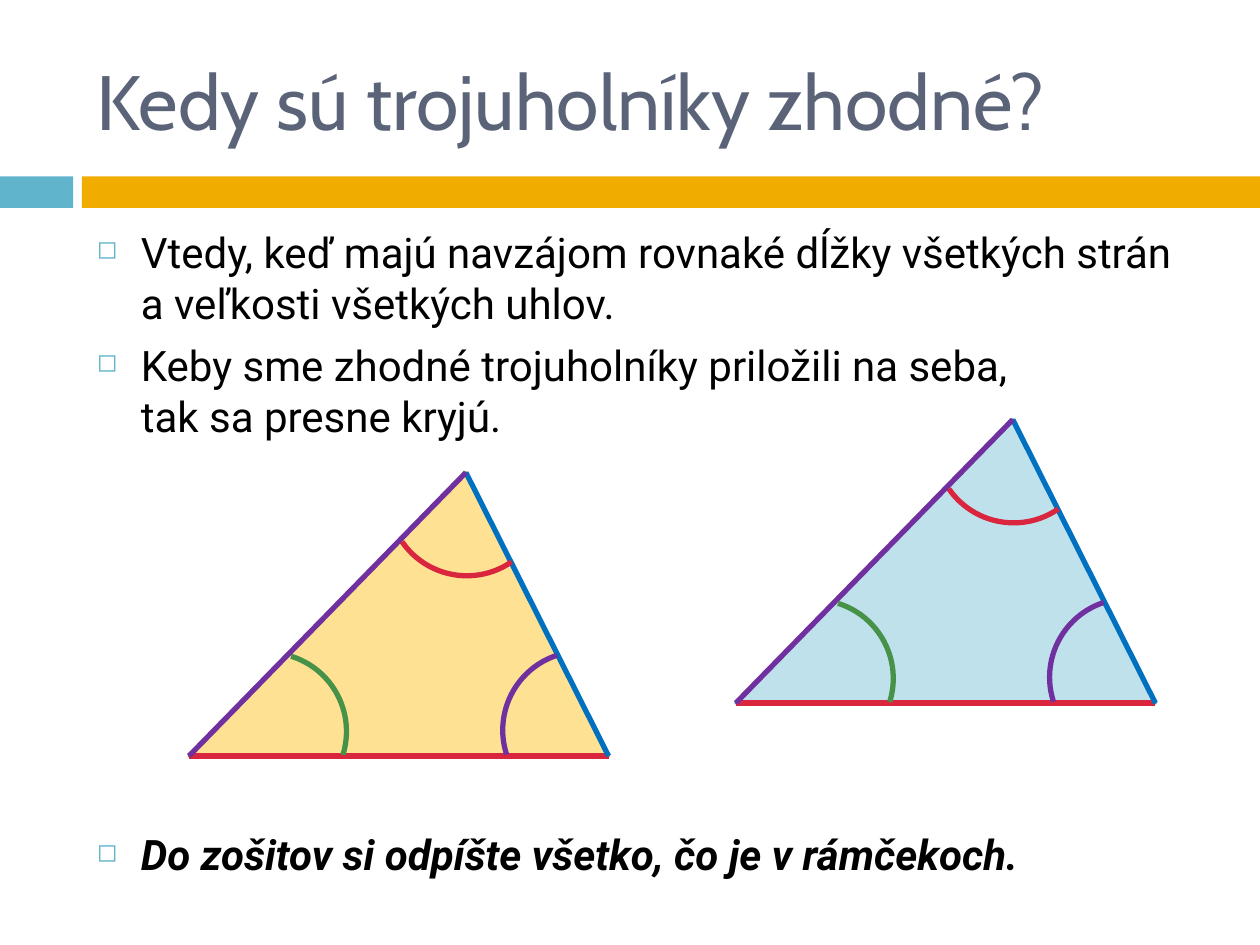
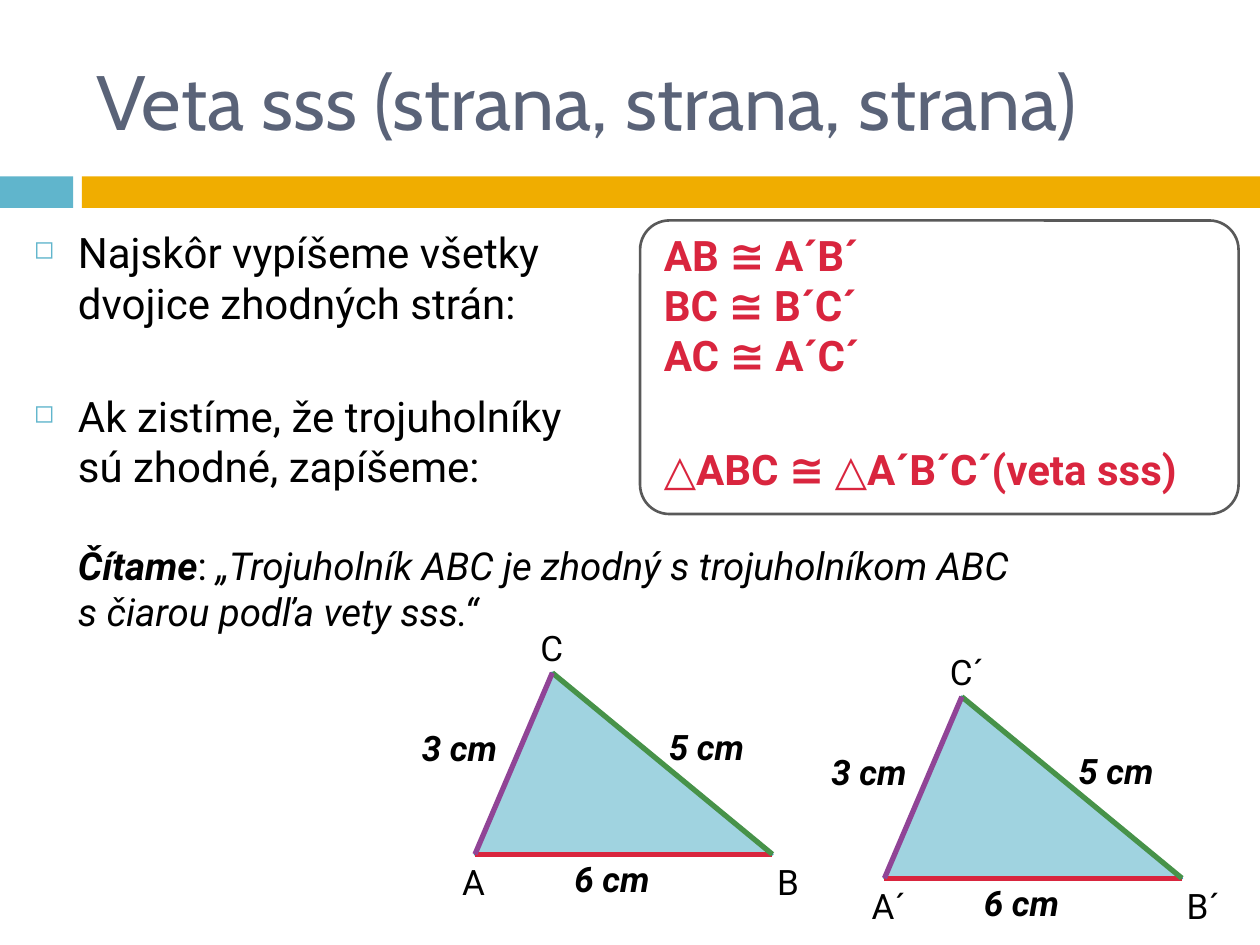
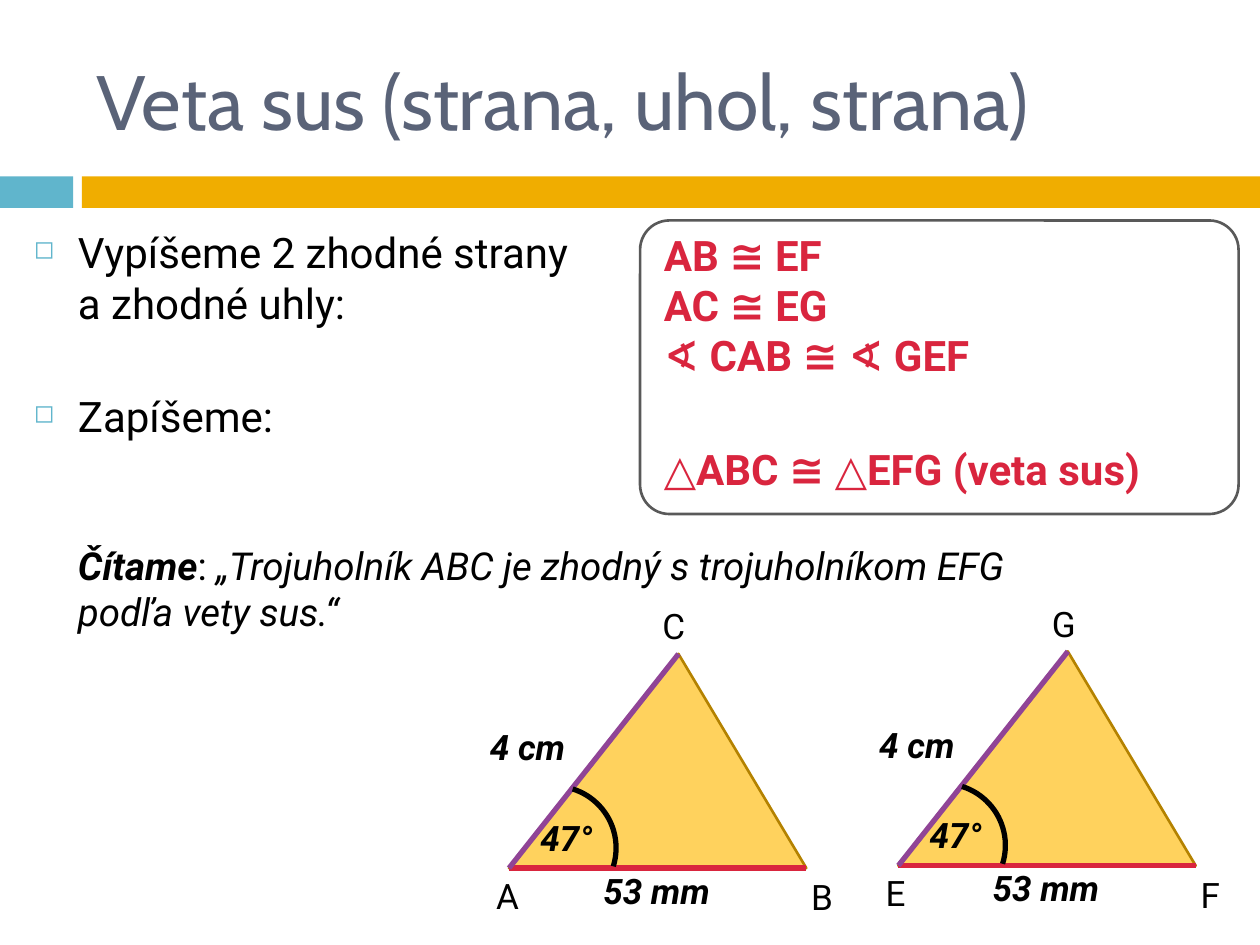
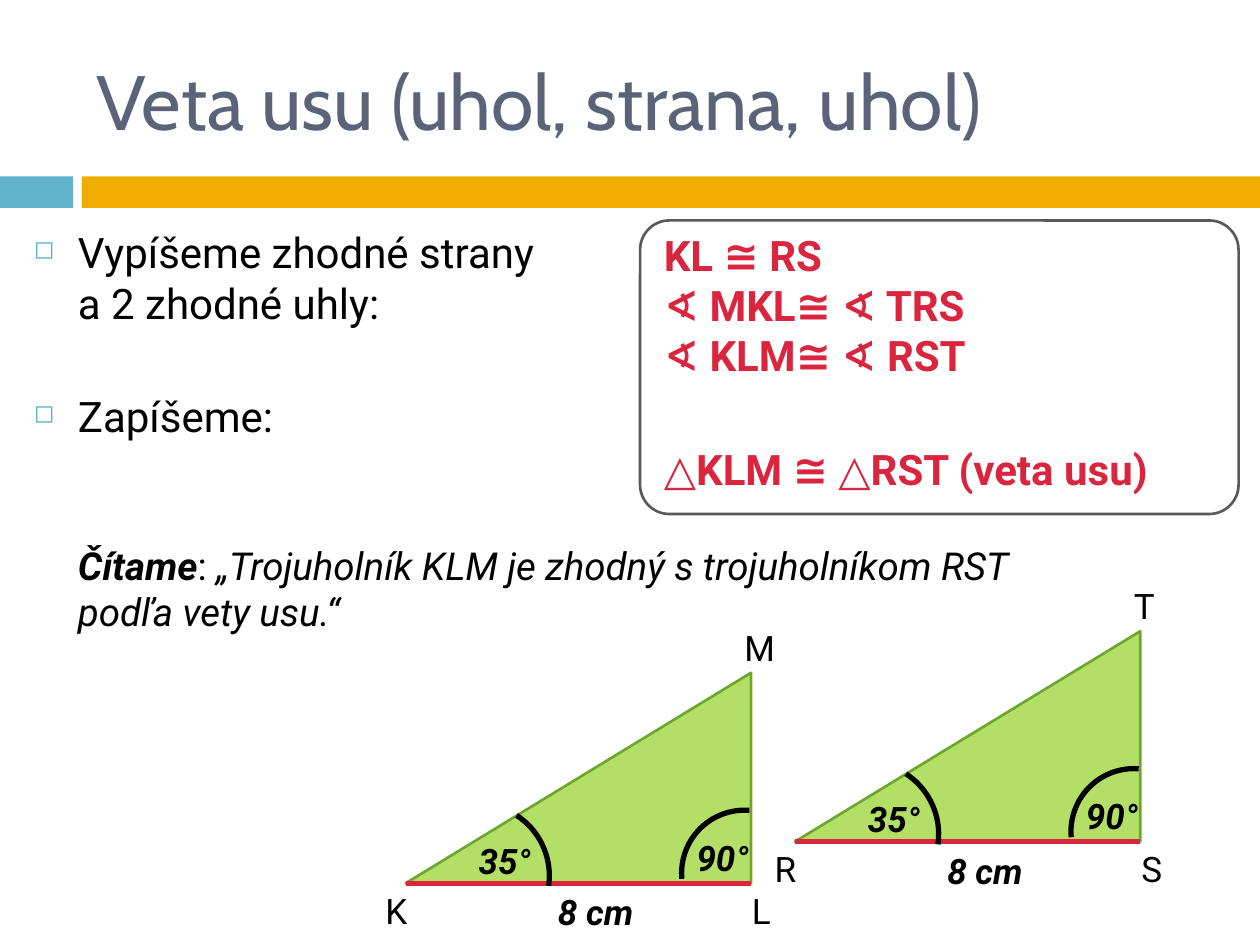
from dataclasses import dataclass

from lxml import etree
from pptx import Presentation, util as u
from pptx.dml.color import RGBColor
from pptx.enum import shapes, text
from pptx.oxml.ns import qn

I = u.Inches


@dataclass(frozen=True)
class Theme:
    """Colours, fonts and type sizes of the lesson."""
    teal: str = "60B5CC"
    amber: str = "F0AD00"
    heading: str = "5A6378"
    ink: str = "000000"
    red: str = "D9253E"
    green: str = "479249"
    blue: str = "0070C0"
    violet: str = "7030A0"
    purple: str = "904496"
    frame: str = "595959"
    yellow_pale: str = "FFE193"
    yellow: str = "FFD25D"
    yellow_edge: str = "B48200"
    blue_pale: str = "BFE1EB"
    blue_mid: str = "A0D3E0"
    blue_edge: str = "3792AA"
    lime: str = "B4DF67"
    lime_edge: str = "6CA62C"
    title_font: str = "Cabin"
    body_font: str = "Roboto"
    title_size: int = 44
    body_size: int = 24
    reading_size: int = 22
    label_size: int = 20
    bullet_gap: int = 7
    block_gap: int = 36
    thin: float = 1.5
    thick: float = 3


class Deck:
    """Holds the theme, the current slide and the origin of the current figure."""

    def __init__(self, theme):
        self.theme = theme
        self.prs = Presentation()
        self.prs.slide_width, self.prs.slide_height = I(10), I(7.5)

    def slide(self, title):
        t = self.theme
        self.s = self.prs.slides.add_slide(self.prs.slide_layouts[6])
        self.shapes, self.origin = self.s.shapes, (0, 0)
        self.shape("RECTANGLE", 0, 1.4, 0.58, 0.25, t.teal)
        self.shape("RECTANGLE", 0.65, 1.4, 9.35, 0.25, t.amber)
        tf = self.box(0.67, 0.25, 8.92, 1.08)
        tf.vertical_anchor = text.MSO_ANCHOR.MIDDLE
        tf.text = title
        self.font(tf.paragraphs[0].runs, t.title_size, t.heading, name=t.title_font)

    def group(self, x, y):
        self.shapes, self.origin = self.s.shapes.add_group_shape().shapes, (x, y)

    def place(self, x, y):
        return I(self.origin[0] + x), I(self.origin[1] + y)

    def font(self, runs, size, color, bold=False, italic=False, name=None):
        for r in runs:
            r.font.name = name or self.theme.body_font
            r.font.size = u.Pt(size)
            r.font.color.rgb = RGBColor.from_string(color)
            r.font.bold, r.font.italic = bold, italic

    def shape(self, kind, x, y, w, h, fill=None, line=None, width=None):
        sp = self.shapes.add_shape(shapes.MSO_SHAPE[kind], *self.place(x, y), I(w), I(h))
        sp.shadow.inherit = False
        if fill:
            sp.fill.solid()
            sp.fill.fore_color.rgb = RGBColor.from_string(fill)
        else:
            sp.fill.background()
        if line:
            sp.line.color.rgb = RGBColor.from_string(line)
            sp.line.width = u.Pt(width or self.theme.thin)
        else:
            sp.line.fill.background()
        return sp

    def box(self, x, y, w, h):
        tf = self.shapes.add_textbox(*self.place(x, y), I(w), I(h)).text_frame
        tf.word_wrap = True
        return tf

    def bullets(self, x, y, w, h, items, gap, **style):
        tf = self.box(x, y, w, h)
        tf.text = "\n".join(items)
        for i, p in enumerate(tf.paragraphs):
            pPr = p._p.get_or_add_pPr()
            pPr.set("marL", str(I(0.35)))
            pPr.set("indent", str(I(-0.35)))
            color = etree.SubElement(pPr, qn("a:buClr"))
            etree.SubElement(color, qn("a:srgbClr"), val=self.theme.teal)
            etree.SubElement(pPr, qn("a:buSzPct"), val="60000")
            etree.SubElement(pPr, qn("a:buChar"), char="◻")
            p.space_before = u.Pt(gap if i else 0)
            self.font(p.runs, self.theme.body_size, self.theme.ink, **style)

    def facts(self, lines):
        sp = self.shape("ROUNDED_RECTANGLE", 5.08, 1.75, 4.75, 2.33, line=self.theme.frame)
        sp.adjustments[0] = 0.1
        tf = sp.text_frame
        tf.word_wrap = True
        tf.vertical_anchor = text.MSO_ANCHOR.TOP
        tf.margin_left, tf.margin_right = I(0.12), I(0)
        tf.margin_top = tf.margin_bottom = I(0)
        tf.text = "\n".join(lines)
        for p in tf.paragraphs:
            p.alignment = text.PP_ALIGN.LEFT
            self.font(p.runs, self.theme.body_size, self.theme.red, bold=True)
        p.space_before = u.Pt(self.theme.block_gap)

    def reading(self, quote):
        p = self.box(0.52, 4.25, 9.32, 0.85).paragraphs[0]
        p.text = quote
        quoted = p.runs
        for words, strong in (("Čítame", True), (": ", False)):
            r = p.add_run()
            r.text = words
            self.font([r], self.theme.reading_size, self.theme.ink, strong, strong)
            p._p.insert(p._p.index(quoted[0]._r), r._r)
        self.font(quoted, self.theme.reading_size, self.theme.ink, italic=True)

    def theorem(self, title, steps, facts, quote):
        self.slide(title)
        self.bullets(0.17, 1.75, 4.85, 2.33, steps, self.theme.block_gap)
        self.facts(facts)
        self.reading(quote)

    def triangle(self, w, h, apex, fill, edge, base=None, left=None, right=None):
        sp = self.shape("ISOSCELES_TRIANGLE", 0, 0, w, h, fill, edge)
        sp.adjustments[0] = apex
        a, b, c = (0, h), (w, h), (apex * w, 0)
        for start, end, color in ((a, b, base), (b, c, right), (c, a, left)):
            if color:
                self.side(start, end, color)

    def side(self, start, end, color):
        cx = self.shapes.add_connector(shapes.MSO_CONNECTOR.STRAIGHT,
                                       *self.place(*start), *self.place(*end))
        cx.line.color.rgb = RGBColor.from_string(color)
        cx.line.width = u.Pt(self.theme.thick)
        etree.SubElement(cx._element.spPr, qn("a:effectLst"))

    def arc(self, x, y, size, turn, color, start=270, end=0):
        sp = self.shape("ARC", x, y, size, size, line=color, width=self.theme.thick)
        sp.rotation = turn
        sp.adjustments[0], sp.adjustments[1] = start * 0.6, end * 0.6

    def label(self, words, x, y, w, strong=False):
        tf = self.box(x, y, w, 0.44)
        tf.auto_size = text.MSO_AUTO_SIZE.SHAPE_TO_FIT_TEXT
        tf.text = words
        self.font(tf.paragraphs[0].runs, self.theme.label_size, self.theme.ink, strong, strong)

    def measure(self, words, x, y, w):
        self.label(words, x, y, w, strong=True)


def congruent(d):
    t = d.theme
    d.slide("Kedy sú trojuholníky zhodné?")
    d.bullets(0.67, 1.75, 8.92, 1.8, [
        "Vtedy, keď majú navzájom rovnaké dĺžky všetkých strán a veľkosti všetkých uhlov.",
        "Keby sme zhodné trojuholníky priložili na seba,\vtak sa presne kryjú."], t.bullet_gap)
    d.bullets(0.67, 6.53, 8.92, 0.5, ["Do zošitov si odpíšte všetko, čo je v rámčekoch."],
              t.bullet_gap, bold=True, italic=True)
    for x, y, fill, edge in ((1.5, 3.75, t.yellow_pale, t.yellow_edge),
                             (5.84, 3.33, t.blue_pale, t.blue_edge)):
        d.group(x, y)
        d.triangle(3.33, 2.25, 0.66, fill, edge, t.red, t.violet, t.blue)
        d.arc(0, 1.43, 1.25, 17.3, t.green)
        d.arc(2.49, 1.42, 1.25, 251.9, t.violet)
        d.arc(1.58, -0.43, 1.25, 145.4, t.red)


def sss(d):
    t = d.theme
    d.theorem("Veta sss (strana, strana, strana)",
              ["Najskôr vypíšeme všetky\vdvojice zhodných strán:",
               "Ak zistíme, že trojuholníky\vsú zhodné, zapíšeme:"],
              ["AB ≅ A´B´", "BC ≅ B´C´", "AC ≅ A´C´", "△ABC ≅ △A´B´C´(veta sss)"],
              "„Trojuholník ABC je zhodný s trojuholníkom ABC\vs čiarou podľa vety sss.“")
    for x, y, mark in ((7.02, 5.53, "´"), (3.77, 5.34, "")):
        d.group(x, y)
        d.triangle(2.36, 1.44, 0.26, t.blue_mid, t.blue_edge, t.red, t.purple, t.green)
        d.label("A" + mark, -0.2, 1.44, 0.66)
        d.label("B" + mark, 2.3, 1.44, 0.61)
        d.label("C" + mark, 0.42, -0.42, 0.54)
        d.measure("6 cm", 0.69, 1.42, 0.98)
        d.measure("5 cm", 1.44, 0.37, 0.85)
        d.measure("3 cm", -0.52, 0.38, 0.86)


def sus(d):
    t = d.theme
    d.theorem("Veta sus (strana, uhol, strana)",
              ["Vypíšeme 2 zhodné strany\va zhodné uhly:", "Zapíšeme:"],
              ["AB ≅ EF", "AC ≅ EG", "∢ CAB ≅ ∢ GEF", "△ABC ≅ △EFG (veta sus)"],
              "„Trojuholník ABC je zhodný s trojuholníkom EFG\vpodľa vety sus.“")
    for x, y, (a, b, c) in ((7.13, 5.17, "EFG"), (4.04, 5.19, "ABC")):
        d.group(x, y)
        d.triangle(2.36, 1.7, 0.57, t.yellow, t.yellow_edge, t.red, t.purple)
        d.label(a, -0.2, 1.7, 0.46)
        d.label(b, 2.3, 1.71, 0.46)
        d.label(c, 1.12, -0.44, 0.46)
        d.measure("53 mm", 0.65, 1.66, 1.35)
        d.measure("4 cm", -0.25, 0.52, 1.1)
        d.arc(-0.13, 1.05, 0.98, 17.3, t.ink)
        d.measure("47°", 0.15, 1.24, 0.83)


def usu(d):
    t = d.theme
    d.theorem("Veta usu (uhol, strana, uhol)",
              ["Vypíšeme zhodné strany\va 2 zhodné uhly:", "Zapíšeme:"],
              ["KL ≅ RS", "∢ MKL≅ ∢ TRS", "∢ KLM≅ ∢ RST", "△KLM ≅ △RST (veta usu)"],
              "„Trojuholník KLM je zhodný s trojuholníkom RST\vpodľa vety usu.“")
    for x, y, (a, b, c) in ((3.22, 5.34, "KLM"), (6.31, 5.01, "RST")):
        d.group(x, y)
        d.triangle(2.74, 1.67, 1, t.lime, t.lime_edge, t.red)
        d.label(a, -0.26, 1.67, 0.53)
        d.label(b, 2.65, 1.67, 0.46)
        d.label(c, 2.59, -0.42, 0.46)
        d.measure("8 cm", 1.11, 1.68, 1.09)
        d.arc(0, 1.04, 1.14, 62.4, t.ink, 240.55, 305.85)
        d.arc(2.19, 1.09, 1, 270, t.ink, 264.86, 4.33)
        d.measure("35°", 0.48, 1.27, 0.97)
        d.measure("90°", 2.21, 1.25, 0.97)


def main():
    d = Deck(Theme())
    for build in (congruent, sss, sus, usu):
        build(d)
    d.prs.save("out.pptx")


if __name__ == "__main__":
    main()
